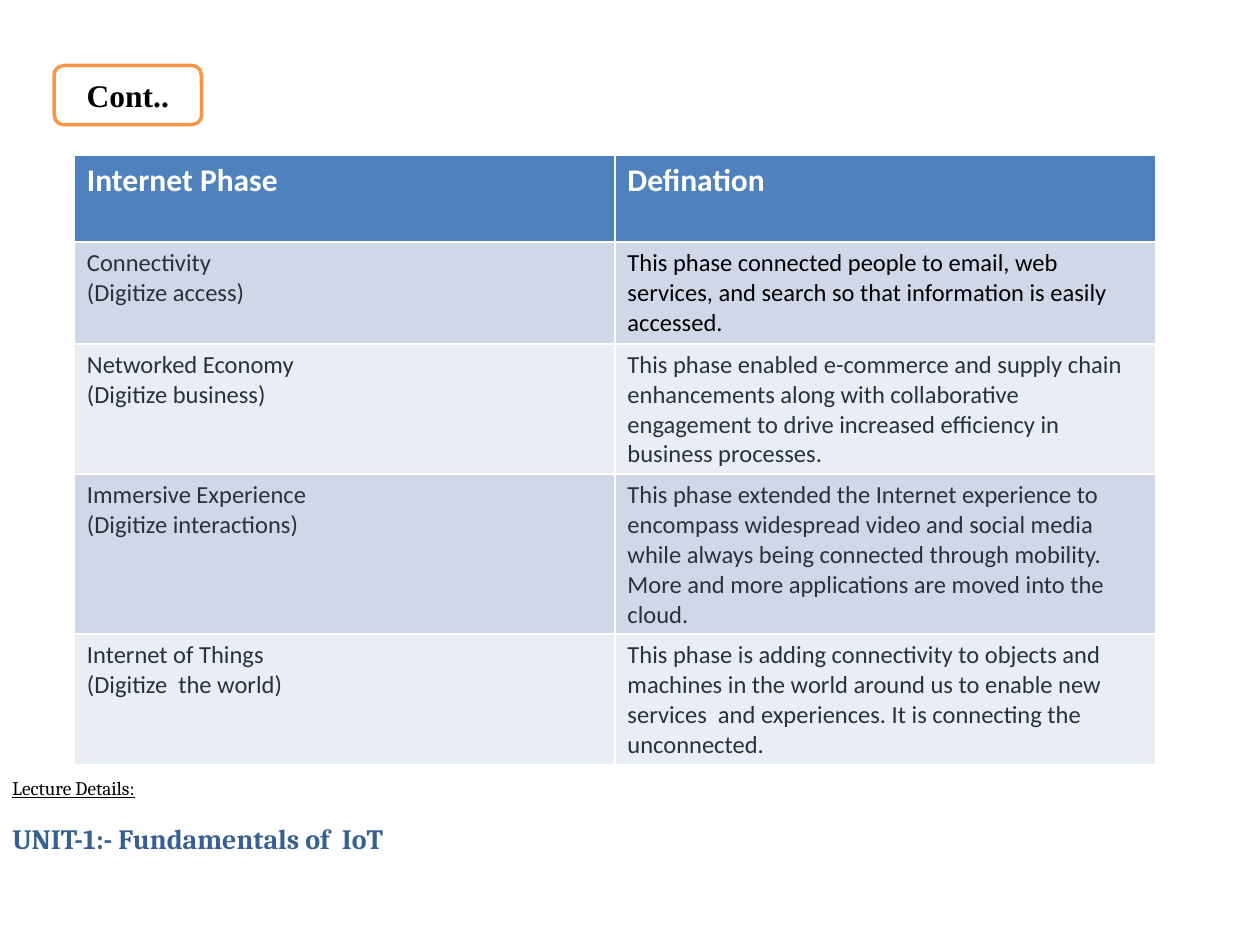
from pptx import Presentation
from pptx.dml.color import RGBColor
from pptx.enum.shapes import MSO_SHAPE
from pptx.enum.text import MSO_ANCHOR, PP_ALIGN
from pptx.util import Inches, Pt

ROUNDED = MSO_SHAPE.ROUNDED_RECTANGLE
MIDDLE = MSO_ANCHOR.MIDDLE
CENTER = PP_ALIGN.CENTER

WHITE = RGBColor(0xFF, 0xFF, 0xFF)
BLACK = RGBColor(0x00, 0x00, 0x00)
SLATE = RGBColor(0x27, 0x32, 0x39)
ORANGE = RGBColor(0xF7, 0x96, 0x46)
UNIT_BLUE = RGBColor(0x37, 0x60, 0x92)
HEADER_BLUE = RGBColor(0x4F, 0x81, 0xBD)
BANDS = (RGBColor(0xD0, 0xD8, 0xE8), RGBColor(0xE9, 0xED, 0xF4))

TITLE = "Cont.."
LECTURE_LABEL = "Lecture Details:"
UNIT = "UNIT-1:- Fundamentals of  IoT"
HEADINGS = ("Internet Phase", "Defination")
PHASES = [
    ("Connectivity\n(Digitize access)",
     "This phase connected people to email, web services, and search so that "
     "information is easily accessed."),
    ("Networked Economy\n(Digitize business)",
     "This phase enabled e-commerce and supply chain enhancements along with "
     "collaborative engagement to drive increased efficiency in business processes."),
    ("Immersive Experience\n(Digitize interactions)",
     "This phase extended the Internet experience to encompass widespread video "
     "and social media while always being connected through mobility. More and "
     "more applications are moved into the cloud."),
    ("Internet of Things\n(Digitize  the world)",
     "This phase is adding connectivity to objects and machines in the world "
     "around us to enable new services  and experiences. It is connecting the "
     "unconnected."),
]
COLUMN_WIDTH = 4.29
ROW_HEIGHTS = (0.69, 0.81, 1.03, 1.27, 1.03)


def style(paragraph, family, size, color, bold=False):
    font = paragraph.font
    font.name = family
    font.size = Pt(size)
    font.color.rgb = color
    font.bold = bold


def add_lecture_details(slide):
    box = slide.shapes.add_textbox(Inches(0), Inches(6.11), Inches(5.87), Inches(0.98))
    frame = box.text_frame
    frame.word_wrap = True
    label = frame.paragraphs[0]
    label.text = LECTURE_LABEL
    style(label, "Cambria", 11, BLACK)
    label.font.underline = True
    unit = frame.add_paragraph()
    unit.text = UNIT
    unit.space_before = Pt(13)
    style(unit, "Cambria", 16, UNIT_BLUE, bold=True)


def add_title(slide):
    badge = slide.shapes.add_shape(
        ROUNDED, Inches(0.43), Inches(0.52), Inches(1.17), Inches(0.47))
    badge.shadow.inherit = False
    badge.fill.solid()
    badge.fill.fore_color.rgb = WHITE
    badge.line.color.rgb = ORANGE
    badge.line.width = Pt(2)
    badge.text_frame.vertical_anchor = MIDDLE
    title = badge.text_frame.paragraphs[0]
    title.text = TITLE
    title.alignment = CENTER
    style(title, "Times New Roman", 18, BLACK, bold=True)


def add_phase_table(slide):
    rows = [HEADINGS, *PHASES]
    table = slide.shapes.add_table(
        len(rows), len(HEADINGS), Inches(0.59), Inches(1.23),
        Inches(COLUMN_WIDTH * len(HEADINGS)), Inches(sum(ROW_HEIGHTS))).table
    for column in table.columns:
        column.width = Inches(COLUMN_WIDTH)
    for r, (height, texts) in enumerate(zip(ROW_HEIGHTS, rows)):
        table.rows[r].height = Inches(height)
        header = r == 0
        for c, text in enumerate(texts):
            cell = table.cell(r, c)
            cell.text = text
            cell.fill.solid()
            cell.fill.fore_color.rgb = HEADER_BLUE if header else BANDS[(r - 1) % 2]
            body_color = BLACK if (r, c) == (1, 1) else SLATE
            for paragraph in cell.text_frame.paragraphs:
                if header:
                    style(paragraph, "Calibri", 18, WHITE, bold=True)
                else:
                    style(paragraph, "Calibri", 14, body_color)


def main():
    deck = Presentation()
    deck.slide_width = Inches(10)
    deck.slide_height = Inches(7.5)
    slide = deck.slides.add_slide(deck.slide_layouts[6])
    add_lecture_details(slide)
    add_title(slide)
    add_phase_table(slide)
    deck.save("out.pptx")


if __name__ == "__main__":
    main()
